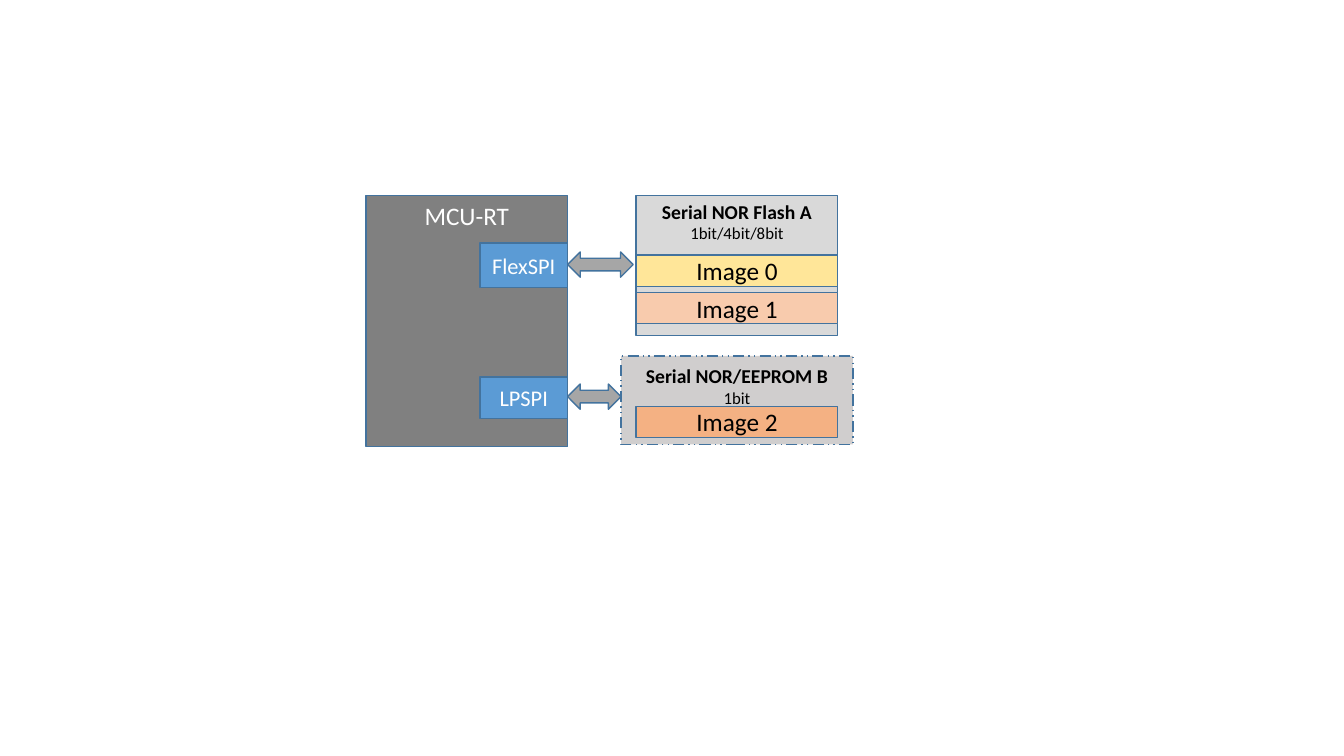
from dataclasses import dataclass
from pptx import Presentation
from pptx.dml.color import RGBColor
from pptx.enum.dml import MSO_LINE
from pptx.enum.shapes import MSO_SHAPE as SHAPE
from pptx.enum.text import MSO_ANCHOR as ANCHOR, PP_ALIGN as ALIGN
from pptx.util import Inches, Pt


@dataclass(frozen=True)
class Theme:
    """Colours, font and type sizes of the diagram."""
    font: str = "Calibri"
    outline: str = "43739E"
    chip: str = "808080"
    port: str = "5B9BD5"
    arrow: str = "A6A6A6"
    flash: str = "D9D9D9"
    eeprom: str = "D0CECE"
    image_0: str = "FFE699"
    image_1: str = "F8CBAD"
    image_2: str = "F4B183"
    light: str = "FFFFFF"
    dark: str = "000000"
    label: int = 18
    port_label: int = 16
    heading: int = 14
    detail: int = 12


def add_block(box, fill, kind=SHAPE.RECTANGLE):
    """Draw a filled, outlined shape at box (left, top, width, height)."""
    block = slide.shapes.add_shape(kind, *map(Inches, box))
    block.shadow.inherit = False
    block.fill.solid()
    block.fill.fore_color.rgb = RGBColor.from_string(fill)
    block.line.color.rgb = RGBColor.from_string(theme.outline)
    block.line.width = Pt(1)
    return block


def write(block, *lines, color, anchor=ANCHOR.MIDDLE, inset=0):
    """Write centred lines, each a (text, size, bold) tuple, into a block."""
    frame = block.text_frame
    frame.word_wrap = True
    frame.vertical_anchor = anchor
    frame.margin_left = frame.margin_right = frame.margin_bottom = 0
    frame.margin_top = Inches(inset)
    for index, (text, size, bold) in enumerate(lines):
        paragraph = frame.add_paragraph() if index else frame.paragraphs[0]
        paragraph.alignment = ALIGN.CENTER
        run = paragraph.add_run()
        run.text = text
        run.font.name, run.font.size, run.font.bold = theme.font, Pt(size), bold
        run.font.color.rgb = RGBColor.from_string(color)


theme = Theme()
deck = Presentation()
deck.slide_width, deck.slide_height = Inches(13.33), Inches(7.5)
slide = deck.slides.add_slide(deck.slide_layouts[6])

# Columns and rows shared by the blocks
chip_left, memory_left, column_width = 3.63, 6.31, 2
chip_right = chip_left + column_width
top_row = 1.94
port_width, arrow_height, image_height = 0.87, 0.25, 0.31
eeprom_margin = 0.15
eeprom_left = memory_left - eeprom_margin

# Controller
chip = add_block((chip_left, top_row, column_width, 2.49), theme.chip)
write(chip, ("MCU-RT", theme.label, False), color=theme.light,
      anchor=ANCHOR.TOP, inset=0.05)

# Memories
flash = add_block((memory_left, top_row, column_width, 1.39), theme.flash)
eeprom = add_block((eeprom_left, 3.53, column_width + 2 * eeprom_margin, 0.88),
                   theme.eeprom)
eeprom.line.dash_style = MSO_LINE.DASH_DOT_DOT
for memory, name, width, inset in (
        (flash, "Serial NOR Flash A", "1bit/4bit/8bit", 0.04),
        (eeprom, "Serial NOR/EEPROM B", "1bit", 0.08)):
    write(memory, (name, theme.heading, True), (width, theme.detail, False),
          color=theme.dark, anchor=ANCHOR.TOP, inset=inset)

# Images stored in the memories
for number, (top, fill) in enumerate((
        (2.53, theme.image_0), (2.9, theme.image_1), (4.03, theme.image_2))):
    image = add_block((memory_left, top, column_width, image_height), fill)
    write(image, (f"Image {number}", theme.label, False), color=theme.dark)

# Ports and their links to the memories
for name, top, height, arrow_top, arrow_width in (
        ("FlexSPI", 2.41, 0.44, 2.5, 0.65),
        ("LPSPI", 3.74, 0.41, 3.81, eeprom_left - chip_right)):
    port = add_block((chip_right - port_width, top, port_width, height), theme.port)
    write(port, (name, theme.port_label, False), color=theme.light)
    add_block((chip_right, arrow_top, arrow_width, arrow_height),
              theme.arrow, SHAPE.LEFT_RIGHT_ARROW)

deck.save("out.pptx")
